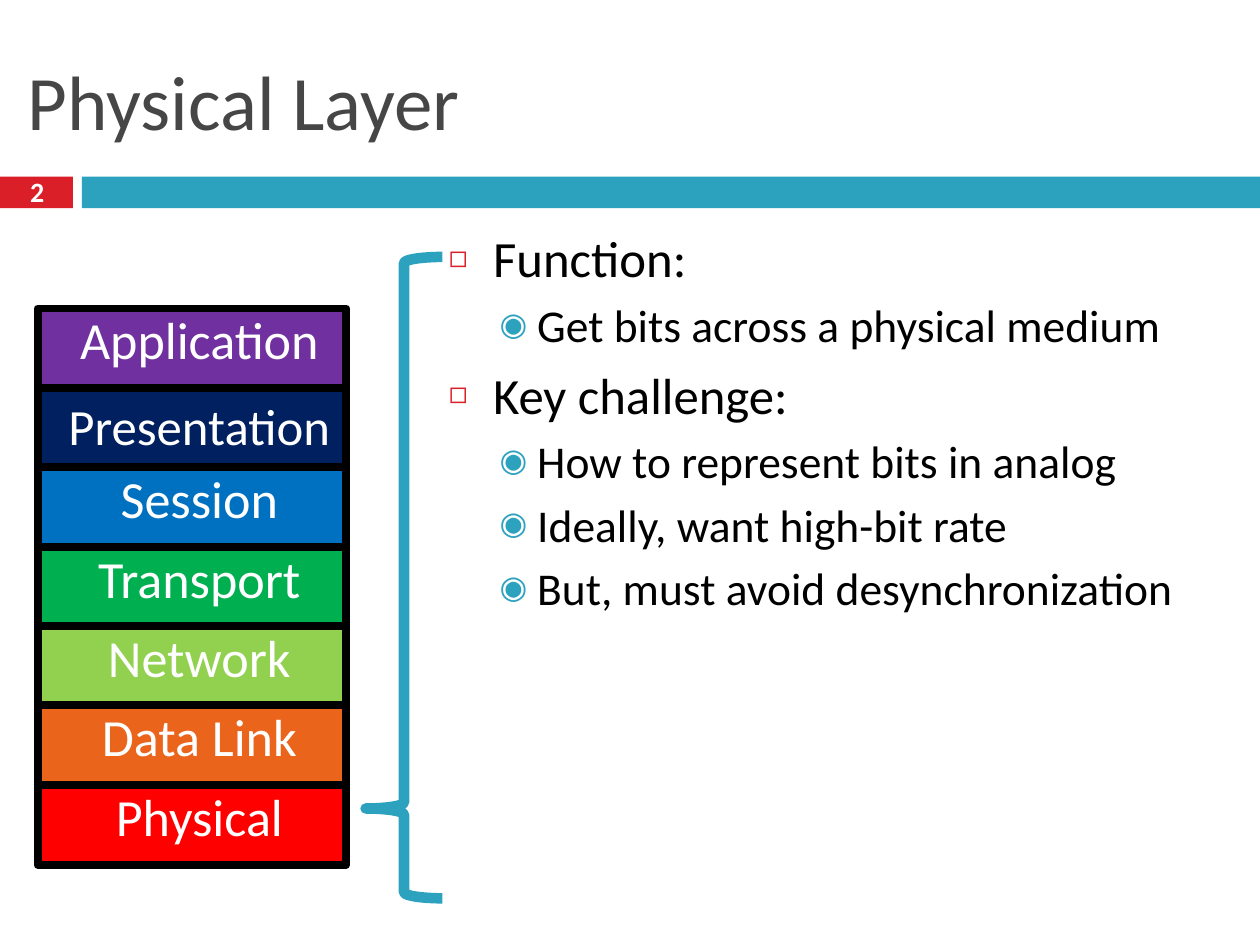
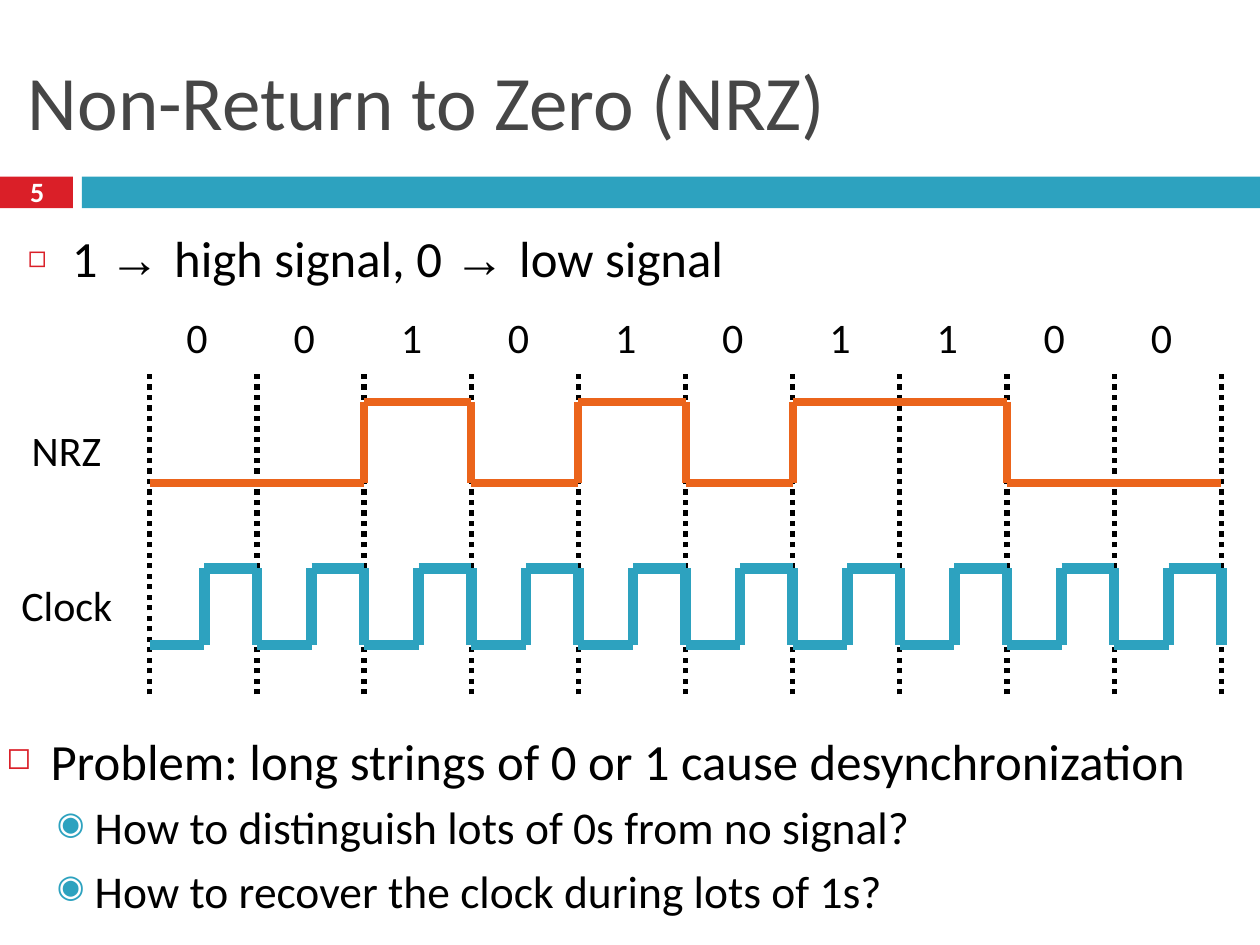
from dataclasses import dataclass
from itertools import groupby, pairwise

from lxml.etree import SubElement
from pptx import Presentation
from pptx.dml.color import RGBColor
from pptx.enum.dml import MSO_LINE
from pptx.enum.shapes import MSO_CONNECTOR, MSO_SHAPE
from pptx.enum.text import MSO_ANCHOR, MSO_AUTO_SIZE, PP_ALIGN
from pptx.oxml.ns import qn
from pptx.util import Cm, Pt


@dataclass(frozen=True)
class Theme:
    font: str = "Calibri"
    symbol_font: str = "Arial"
    red: str = "DA1F28"
    teal: str = "2DA2BF"
    orange: str = "EB641B"
    gray: str = "464646"
    black: str = "000000"
    white: str = "FFFFFF"
    title_size: float = 44
    number_size: float = 16
    list_sizes: tuple = (29, 26)
    label_size: float = 24
    layer_size: float = 29.8
    thick: float = 6
    medium: float = 4.5
    thin: float = 3


THEME = Theme()


@dataclass(frozen=True)
class ListLevel:
    bullet: str
    color: str
    percent: int
    margin: float
    hanging: float
    before: float


LIST_LEVELS = (
    ListLevel("◻", THEME.red, 60, 0.89, 0.89, 7),
    ListLevel("◉", THEME.teal, 70, 1.78, 0.76, 5),
)


def add_text(para, text, size=THEME.label_size, color=THEME.black, font=THEME.font,
             bold=False, align=PP_ALIGN.LEFT, line_spacing=None, before=0):
    para.alignment = align
    para.line_spacing = line_spacing
    para.space_before = Pt(before)
    span = para.add_run()
    span.text = text
    span.font.size = Pt(size)
    span.font.name = font
    span.font.bold = bold
    span.font.color.rgb = RGBColor.from_string(color)


def set_indent(para, margin, first_line):
    properties = para._p.get_or_add_pPr()
    properties.set("marL", str(Cm(margin)))
    properties.set("indent", str(Cm(first_line)))
    return properties


def set_bullet(para, level):
    properties = set_indent(para, level.margin, -level.hanging)
    color = SubElement(properties, qn("a:buClr"))
    SubElement(color, qn("a:srgbClr"), val=level.color)
    SubElement(properties, qn("a:buSzPct"), val=str(level.percent * 1000))
    SubElement(properties, qn("a:buChar"), char=level.bullet)


class SlideBuilder:
    def __init__(self, deck, theme):
        self.deck = deck
        self.theme = theme
        self.page = None

    def start(self, title, number):
        theme = self.theme
        self.page = self.deck.slides.add_slide(self.deck.slide_layouts[1])
        self.shape(MSO_SHAPE.RECTANGLE, 0, 3.56, 1.47, 0.64, fill=theme.red)
        self.shape(MSO_SHAPE.RECTANGLE, 1.65, 3.56, 23.75, 0.64, fill=theme.teal)
        heading = self.page.shapes.title
        self.place(heading, 0.43, 0.64, 24.56, 2.74)
        frame = self.frame(heading, anchor=MSO_ANCHOR.MIDDLE)
        add_text(frame.paragraphs[0], title, size=theme.title_size, color=theme.gray)
        self.label(number, 0.46, 3.48, 0.58, 0.89, anchor=MSO_ANCHOR.MIDDLE,
                   size=theme.number_size, color=theme.white, bold=True,
                   align=PP_ALIGN.CENTER, line_spacing=0.8)

    def place(self, shape, left, top, width, height):
        shape.left, shape.top = Cm(left), Cm(top)
        shape.width, shape.height = Cm(width), Cm(height)

    def frame(self, shape, anchor=MSO_ANCHOR.TOP, wrap=True):
        frame = shape.text_frame
        frame.word_wrap = wrap
        frame.auto_size = MSO_AUTO_SIZE.NONE
        frame.vertical_anchor = anchor
        frame.margin_left = frame.margin_right = Cm(0.13)
        frame.margin_top = frame.margin_bottom = Cm(0.13)
        return frame

    def shape(self, kind, left, top, width, height, fill=None, line=None, weight=0):
        shape = self.page.shapes.add_shape(kind, Cm(left), Cm(top), Cm(width), Cm(height))
        shape.shadow.inherit = False
        for paint, color in ((shape.fill, fill), (shape.line.fill, line)):
            if color:
                paint.solid()
                paint.fore_color.rgb = RGBColor.from_string(color)
            else:
                paint.background()
        if line:
            shape.line.width = Pt(weight)
        return shape

    def label(self, text, left, top, width, height, anchor=MSO_ANCHOR.TOP, **text_format):
        box = self.page.shapes.add_textbox(Cm(left), Cm(top), Cm(width), Cm(height))
        frame = self.frame(box, anchor, wrap=False)
        add_text(frame.paragraphs[0], text, **text_format)

    def body(self, items, left, top, width, height):
        box = self.page.placeholders[1]
        self.place(box, left, top, width, height)
        self.fill_list(box, items)

    def list_box(self, items, left, top, width, height):
        box = self.page.shapes.add_textbox(Cm(left), Cm(top), Cm(width), Cm(height))
        self.fill_list(box, items)

    def fill_list(self, box, items):
        frame = self.frame(box)
        for index, (depth, *spans) in enumerate(items):
            para = frame.add_paragraph() if index else frame.paragraphs[0]
            para.level = depth
            level = LIST_LEVELS[depth]
            for text in spans:
                font = self.theme.symbol_font if text.startswith("→") else self.theme.font
                add_text(para, text, size=self.theme.list_sizes[depth], font=font,
                         before=level.before)
            set_bullet(para, level)

    def layer(self, name, color, left, top, width, height, **text_format):
        box = self.shape(MSO_SHAPE.RECTANGLE, left, top, width, height, fill=color,
                         line=self.theme.black, weight=self.theme.medium)
        para = self.frame(box).paragraphs[0]
        add_text(para, name, color=self.theme.white, align=PP_ALIGN.CENTER, **text_format)
        set_indent(para, 0, 0.3)

    def line(self, start, end, color, weight, dash=None):
        connector = self.page.shapes.add_connector(
            MSO_CONNECTOR.STRAIGHT, *map(Cm, start), *map(Cm, end))
        connector.line.color.rgb = RGBColor.from_string(color)
        connector.line.width = Pt(weight)
        if dash:
            connector.line.dash_style = dash
        SubElement(connector._element.spPr, qn("a:effectLst"))

    def signal(self, points, color, weight):
        for start, end in pairwise(points):
            self.line(start, end, color, weight)


def build_physical_layer(slide):
    theme = slide.theme
    slide.start("Physical Layer", "2")
    slide.body([
        (0, "Function:"),
        (1, "Get bits across a physical medium"),
        (0, "Key challenge:"),
        (1, "How to represent bits in analog"),
        (1, "Ideally, want high-bit rate"),
        (1, "But, must avoid desynchronization"),
    ], 8.92, 4.45, 16.48, 14.17)

    layers = (
        ("Application", "7030A0"),
        ("Presentation", "002060"),
        ("Session", "0070C0"),
        ("Transport", "00B050"),
        ("Network", "92D050"),
        ("Data Link", theme.orange),
        ("Physical", "FF0000"),
    )
    tight = dict(size=theme.layer_size, line_spacing=0.9, before=7)
    regular = dict(size=theme.list_sizes[0], before=6)
    for index, (name, color) in enumerate(layers):
        text_format = regular if name == "Presentation" else tight
        slide.layer(name, color, 0.76, 6.22 + 1.6 * index, 6.22, 1.62, **text_format)

    brace = slide.shape(MSO_SHAPE.LEFT_BRACE, 7.37, 5.18, 1.55, 12.93,
                        line=theme.teal, weight=theme.thick)
    brace.adjustments[0] = 0.08
    brace.adjustments[1] = 0.86


def build_non_return_to_zero(slide):
    theme = slide.theme
    slide.start("Non-Return to Zero (NRZ)", "5")
    slide.body([(0, "1 ", "→ ", "high signal, 0 ", "→ ", "low signal")],
               0.43, 4.45, 24.56, 1.7)

    bits = "0010101100"
    bit_width = 2.16
    edges = [3.02 + bit_width * index for index in range(len(bits) + 1)]
    for edge in edges:
        slide.line((edge, 14), (edge, 7.44), theme.black, theme.thin, MSO_LINE.ROUND_DOT)

    clock_low, clock_high = 13, 11.46
    clock = []
    for edge, next_edge in pairwise(edges):
        rise = edge + 1.1
        clock += [(edge, clock_low), (rise, clock_low),
                  (rise, clock_high), (next_edge, clock_high)]
    clock.append((edges[-1], clock_low))
    slide.signal(clock, theme.teal, theme.thick)

    slide.label("Clock", 0.3, 11.56, 2.13, 1.22)
    slide.label("NRZ", 0.51, 8.43, 1.7, 1.22)

    levels = {"0": 9.73, "1": 8.1}
    data = []
    position = 0
    for bit, group in groupby(bits):
        end = position + len(list(group))
        data += [(edges[position], levels[bit]), (edges[end], levels[bit])]
        position = end
    slide.signal(data, theme.orange, theme.medium)

    for edge, bit in zip(edges, bits):
        slide.label(bit, edge + 0.61, 6.15, 0.76, 1.22)

    slide.list_box([
        (0, "Problem: long strings of 0 or 1 cause desynchronization"),
        (1, "How to distinguish lots of 0s from no signal?"),
        (1, "How to recover the clock during lots of 1s?"),
    ], 0, 14.58, 25.4, 4.47)


def main():
    deck = Presentation()
    deck.slide_width, deck.slide_height = Cm(25.4), Cm(19.05)
    slide = SlideBuilder(deck, THEME)
    build_physical_layer(slide)
    build_non_return_to_zero(slide)
    deck.save("out.pptx")


if __name__ == "__main__":
    main()
